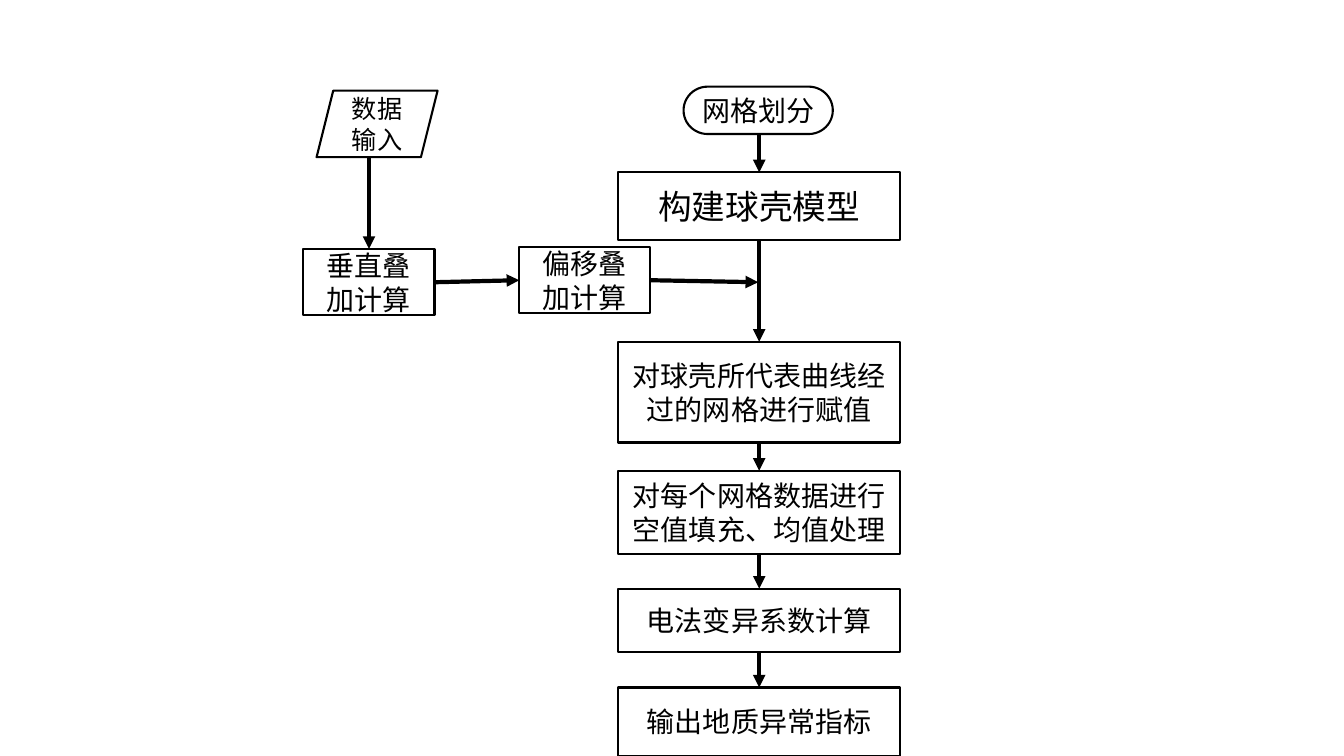
from pptx import Presentation
from pptx.dml.color import RGBColor
from pptx.enum.shapes import MSO_CONNECTOR as Connector, MSO_SHAPE as Shape
from pptx.enum.text import MSO_ANCHOR as Anchor, PP_ALIGN as Align
from pptx.oxml.ns import qn
from pptx.util import Inches, Pt
from lxml.etree import SubElement

BLACK = RGBColor(0x00, 0x00, 0x00)
WHITE = RGBColor(0xFF, 0xFF, 0xFF)
FONT = "Noto Sans CJK SC"


class Flowchart:
    """Draws black-on-white flowchart elements on one page."""

    def __init__(self, page):
        self.page = page

    def node(self, text, left, top, width, height, size=20, kind=Shape.RECTANGLE):
        box = self.page.shapes.add_shape(
            kind, Inches(left), Inches(top), Inches(width), Inches(height))
        box.shadow.inherit = False
        box.fill.solid()
        box.fill.fore_color.rgb = WHITE
        box.line.color.rgb = BLACK
        box.line.width = Pt(1.5)
        frame = box.text_frame
        frame.word_wrap = True
        frame.vertical_anchor = Anchor.MIDDLE
        frame.text = text
        para = frame.paragraphs[0]
        para.alignment = Align.CENTER
        span = para.runs[0]
        span.font.name = FONT
        span.font.size = Pt(size)
        span.font.color.rgb = BLACK
        # East Asian text takes its font from a separate element
        SubElement(span.font._element, qn("a:ea"), typeface=FONT)
        return box

    def arrow(self, start, end):
        line = self.page.shapes.add_connector(Connector.STRAIGHT, *start, *end)
        line.line.color.rgb = BLACK
        line.line.width = Pt(3)
        SubElement(line.line._get_or_add_ln(), qn("a:tailEnd"), type="triangle")
        SubElement(line._element.spPr, qn("a:effectLst"))

    def arrow_down(self, upper, lower):
        """Join two boxes along the centre line of the lower one."""
        x = lower.left + lower.width // 2
        self.arrow((x, upper.top + upper.height), (x, lower.top))


def right_middle(box):
    return box.left + box.width, box.top + box.height // 2


def left_middle(box):
    return box.left, box.top + box.height // 2


deck = Presentation()
deck.slide_width, deck.slide_height = Inches(13.33), Inches(7.5)
chart = Flowchart(deck.slides.add_slide(deck.slide_layouts[6]))

# Main column: text, top, height, text size
STEPS = [
    ("构建球壳模型", 1.71, 0.67, 24),
    ("对球壳所代表曲线经过的网格进行赋值", 3.39, 1.0, 20),
    ("对每个网格数据进行空值填充、均值处理", 4.67, 0.83, 20),
    ("电法变异系数计算", 5.84, 0.63, 20),
    ("输出地质异常指标", 6.82, 0.68, 20),
]
column = [chart.node("网格划分", 6.78, 0.86, 1.48, 0.47,
                     kind=Shape.FLOWCHART_TERMINATOR)]
for text, top, height, size in STEPS:
    column.append(chart.node(text, 6.13, top, 2.8, height, size))
for upper, lower in zip(column, column[1:]):
    chart.arrow_down(upper, lower)

# Data branch
data_input = chart.node("数据输入", 3.14, 0.9, 1.2, 0.66, 18, Shape.PARALLELOGRAM)
vertical_stack = chart.node("垂直叠加计算", 3.01, 2.47, 1.3, 0.66)
offset_stack = chart.node("偏移叠加计算", 5.15, 2.45, 1.3, 0.66)
chart.arrow_down(data_input, vertical_stack)
chart.arrow(right_middle(vertical_stack), left_middle(offset_stack))
chart.arrow(right_middle(offset_stack), (Inches(7.52), Inches(2.8)))

deck.save("out.pptx")
